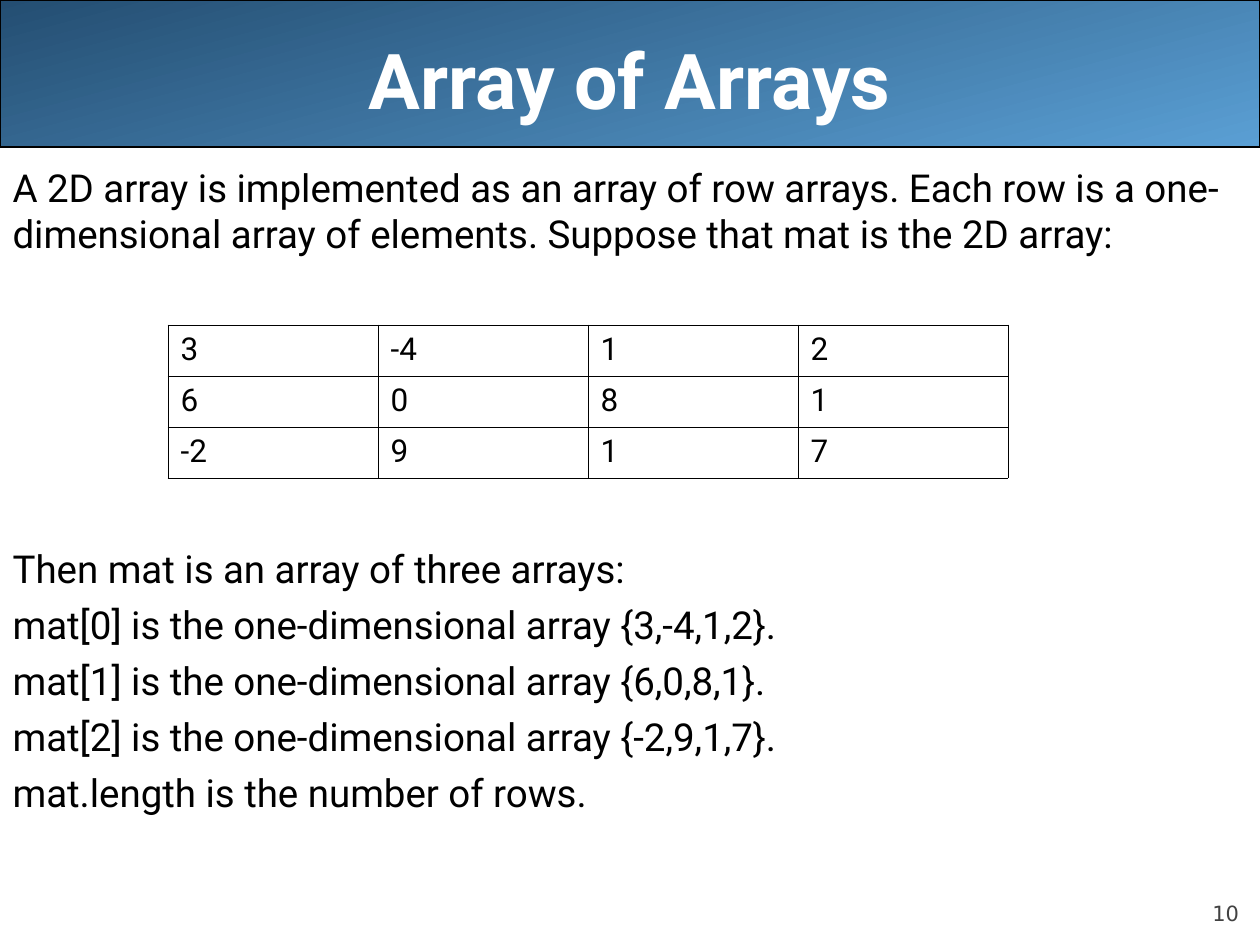
"""Build the "Array of Arrays" slide: banner, explanation, 2D table and page number."""
from lxml import etree
from pptx import Presentation
from pptx import util as u
from pptx.dml.color import RGBColor
from pptx.enum import shapes, text
from pptx.oxml.ns import qn

COLORS = {"dark": "244E72", "light": "5A9FD4", "white": "FFFFFF", "black": "000000", "gray": "424242"}
ROWS = [[3, -4, 1, 2], [6, 0, 8, 1], [-2, 9, 1, 7]]
LINES = [
    "A 2D array is implemented as an array of row arrays. Each row is a one-dimensional array of elements. "
    "Suppose that mat is the 2D array:",
    "Then mat is an array of three arrays:",
    "mat[0] is the one-dimensional array {3,-4,1,2}.",
    "mat[1] is the one-dimensional array {6,0,8,1}.",
    "mat[2] is the one-dimensional array {-2,9,1,7}.",
    "mat.length is the number of rows.",
]


def px(*lengths):
    return [u.Emu(round(length * 914400 / 126)) for length in lengths]


def style(para, size, color, name="Roboto", bold=False):
    for span in para.runs:
        span.font.size = u.Pt(size)
        span.font.name = name
        span.font.bold = bold
        span.font.color.rgb = RGBColor.from_string(COLORS[color])


deck = Presentation()
deck.slide_width, deck.slide_height = px(1260, 945)
page = deck.slides.add_slide(deck.slide_layouts[1])

banner = page.shapes.add_shape(shapes.MSO_SHAPE.RECTANGLE, *px(0, 0, 1260, 147))
banner.shadow.inherit = False
banner.fill.gradient()
banner.fill.gradient_angle = 285
for stop, color in zip(banner.fill.gradient_stops, ("dark", "light")):
    stop.color.rgb = RGBColor.from_string(COLORS[color])
banner.line.color.rgb = RGBColor.from_string(COLORS["black"])
banner.line.width = u.Pt(0.75)
page.shapes._spTree.insert(2, banner._element)

title = page.shapes.title
title.left, title.top, title.width, title.height = px(63, 0, 1134, 158)
title.text_frame.text = "Array of Arrays"
title.text_frame.auto_size = text.MSO_AUTO_SIZE.NONE
title.text_frame.vertical_anchor = text.MSO_ANCHOR.MIDDLE
title.text_frame.paragraphs[0].alignment = text.PP_ALIGN.CENTER
style(title.text_frame.paragraphs[0], 44, "white", bold=True)

body = page.placeholders[1]
body.left, body.top, body.width, body.height = px(0, 158, 1260, 787)
body.text_frame.text = "\n".join(LINES)
body.text_frame.auto_size = text.MSO_AUTO_SIZE.NONE
for para, gap in zip(body.text_frame.paragraphs, [0, 165] + [5.5] * 4):
    properties = para._p.get_or_add_pPr()
    properties.set("marL", "0")
    properties.set("indent", "0")
    etree.SubElement(properties, qn("a:buNone"))
    para.space_before = u.Pt(gap)
    style(para, 22, "black")

table = page.shapes.add_table(len(ROWS), len(ROWS[0]), *px(168, 325, 840, 153)).table
table.first_row = table.horz_banding = False
for row, values in enumerate(ROWS):
    for column, value in enumerate(values):
        cell = table.cell(row, column)
        cell.text = str(value)
        style(cell.text_frame.paragraphs[0], 18, "black")
        properties = cell._tc.get_or_add_tcPr()
        for side in ("lnL", "lnR", "lnT", "lnB"):
            border = etree.SubElement(properties, qn(f"a:{side}"), w=str(u.Pt(0.45)))
            fill = etree.SubElement(border, qn("a:solidFill"))
            etree.SubElement(fill, qn("a:srgbClr"), val=COLORS["black"])
        cell.fill.background()

number = page.shapes.add_textbox(*px(1134, 876, 105, 50))
frame = number.text_frame
frame.text = "10"
frame.word_wrap = True
frame.margin_left = frame.margin_right = frame.margin_top = frame.margin_bottom = 0
frame.vertical_anchor = text.MSO_ANCHOR.BOTTOM
frame.paragraphs[0].alignment = text.PP_ALIGN.RIGHT
style(frame.paragraphs[0], 12, "gray", name="DejaVu Sans")

deck.save("out.pptx")
